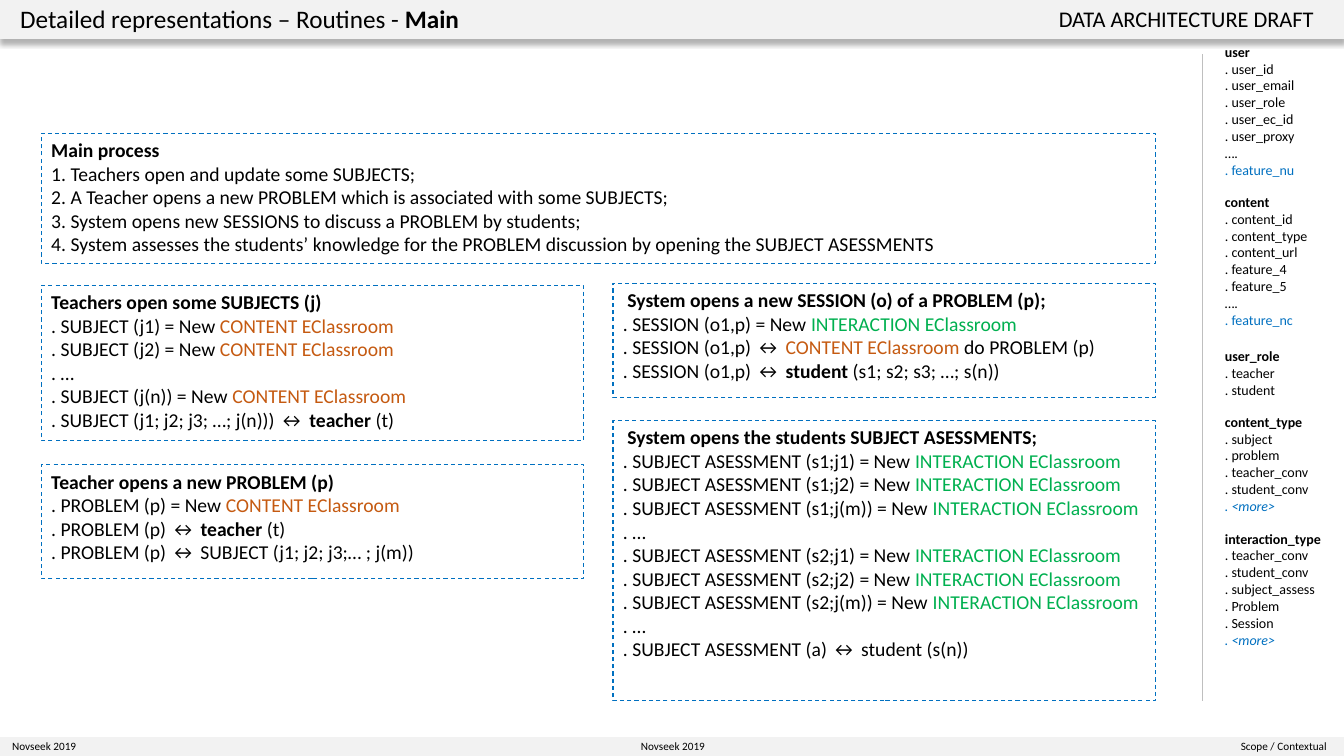
from lxml import etree
from pptx import Presentation
from pptx.dml.color import RGBColor
from pptx.enum.dml import MSO_LINE
from pptx.enum.shapes import MSO_CONNECTOR, MSO_SHAPE
from pptx.enum.text import MSO_ANCHOR, PP_ALIGN
from pptx.oxml.ns import qn
from pptx.util import Inches, Pt

LEFT, CENTER, RIGHT = PP_ALIGN.LEFT, PP_ALIGN.CENTER, PP_ALIGN.RIGHT
TOP, MIDDLE = MSO_ANCHOR.TOP, MSO_ANCHOR.MIDDLE
RECT, STRAIGHT, DASH = MSO_SHAPE.RECTANGLE, MSO_CONNECTOR.STRAIGHT, MSO_LINE.DASH
FONT = "Calibri"
PLAIN_TABLE = "{2D5ABB26-0587-4C30-8999-92F81FD0307C}"
COLORS = {"text": "000000", "bar": "F2F2F2", "blue": "0070C0", "orange": "C55A11",
          "green": "00B050", "divider": "BFBFBF"}

# Content: a line is a string or a list of runs; a run is a string or (text, styles)
CONTENT = ("CONTENT EClassroom", "orange")
INTERACTION = ("INTERACTION EClassroom", "green")

# (column width, alignment, left inset, right inset, size, runs)
HEADER = [
    (8.63, LEFT, 0.2, 0.2, 18, ["Detailed representations – Routines - ", ("Main", "bold")]),
    (4.7, RIGHT, 0.2, 0.3, 16, "DATA ARCHITECTURE DRAFT"),
]
FOOTER = [
    (4.97, LEFT, 0.12, 0.12, 8, "Novseek 2019"),
    (3.41, CENTER, 0.12, 0.12, 8, "Novseek 2019"),
    (4.95, RIGHT, 0.12, 0.17, 8, "Scope / Contextual"),
]

MAIN_PROCESS = ("Main process", [
    " Teachers open and update some SUBJECTS;",
    " A Teacher opens a new PROBLEM which is associated with some SUBJECTS;",
    " System opens new SESSIONS to discuss a PROBLEM by students;",
    " System assesses the students’ knowledge for the PROBLEM discussion "
    "by opening the SUBJECT ASESSMENTS",
])
SUBJECTS = ("Teachers open some SUBJECTS (j)", [
    [". SUBJECT (j1) = New ", CONTENT],
    [". SUBJECT (j2) = New ", CONTENT],
    ". …",
    [". SUBJECT (j(n)) = New ", CONTENT],
    [". SUBJECT (j1; j2; j3; …; j(n))) ↔ ", ("teacher", "bold"), " (t)"],
])
PROBLEM = ("Teacher opens a new PROBLEM (p)", [
    [". PROBLEM (p) = New ", CONTENT],
    [". PROBLEM (p) ↔ ", ("teacher", "bold"), " (t)"],
    ". PROBLEM (p) ↔ SUBJECT (j1; j2; j3;… ; j(m))",
])
SESSION = (" System opens a new SESSION (o) of a PROBLEM (p);", [
    [". SESSION (o1,p) = New ", INTERACTION],
    [". SESSION (o1,p) ↔ ", CONTENT, " do PROBLEM (p)"],
    [". SESSION (o1,p) ↔ ", ("student", "bold"), " (s1; s2; s3; …; s(n))"],
])
ASSESSMENT_LINES = []
for student in ("s1", "s2"):
    for subject in ("j1", "j2", "j(m)"):
        ASSESSMENT_LINES.append(
            [f". SUBJECT ASESSMENT ({student};{subject}) = New ", INTERACTION])
    ASSESSMENT_LINES.append(". …")
ASSESSMENT_LINES.append(". SUBJECT ASESSMENT (a) ↔ student (s(n))")
ASSESSMENTS = (" System opens the students SUBJECT ASESSMENTS;", ASSESSMENT_LINES)

# (content, left, top, width, height, numbered)
COL_1, COL_2, COL_W = 0.41, 6.08, 5.38
BOXES = [
    (MAIN_PROCESS, COL_1, 1.32, COL_2 + COL_W - COL_1, 1.29, True),
    (SUBJECTS, COL_1, 2.83, COL_W, 1.54, False),
    (PROBLEM, COL_1, 4.61, COL_W, 1.13, False),
    (SESSION, COL_2, 2.81, COL_W, 1.13, False),
    (ASSESSMENTS, COL_2, 4.17, COL_W, 2.78, False),
]

# (top, height, heading, lines)
MORE = [(". <more>", "blue italic")]
DICTIONARY = [
    (0.38, 1.5, "user", [". user_id", ". user_email", ". user_role", ". user_ec_id",
                         ". user_proxy", "….", [(". feature_nu", "blue")]]),
    (1.87, 1.47, "content", [". content_id", ". content_type", ". content_url",
                             ". feature_4", ". feature_5", "….",
                             [(". feature_nc", "blue")]]),
    (3.4, 0.64, "user_role", [". teacher", ". student"]),
    (4.05, 1.11, "content_type", [". subject", ". problem", ". teacher_conv",
                                  ". student_conv", MORE]),
    (5.21, 1.24, "interaction_type", [". teacher_conv", ". student_conv",
                                      ". subject_assess", ". Problem", ". Session", MORE]),
]


def rgb(name):
    return RGBColor.from_string(COLORS[name])


def write(tf, lines, size=14, align=LEFT, numbered=False):
    """Fill a text frame; numbered applies to every line after the heading."""
    for i, line in enumerate(lines):
        p = tf.add_paragraph() if i else tf.paragraphs[0]
        p.alignment = align
        if numbered and i:
            pPr = p._p.get_or_add_pPr()
            pPr.set("marL", str(Inches(0.09)))
            pPr.set("indent", str(-Inches(0.09)))
            etree.SubElement(pPr, qn("a:buFont"), typeface="+mj-lt")
            etree.SubElement(pPr, qn("a:buAutoNum"), type="arabicPeriod")
        for run in [line] if isinstance(line, str) else line:
            text, style = (run, "") if isinstance(run, str) else run
            styles = style.split()
            r = p.add_run()
            r.text = text
            r.font.name, r.font.size = FONT, Pt(size)
            r.font.bold, r.font.italic = "bold" in styles, "italic" in styles
            r.font.color.rgb = rgb(next((s for s in styles if s in COLORS), "text"))


def add_bar(slide, columns, top, height, v_inset):
    """Add a one-row table across the slide and return its properties element."""
    frame = slide.shapes.add_table(1, len(columns), 0, Inches(top),
                                   Inches(13.33), Inches(height))
    table = frame.table
    table.first_row = table.horz_banding = False
    tblPr = frame.element.find(".//" + qn("a:tblPr"))
    tblPr.find(qn("a:tableStyleId")).text = PLAIN_TABLE
    for i, (width, align, left, right, size, runs) in enumerate(columns):
        table.columns[i].width = Inches(width)
        cell = table.cell(0, i)
        cell.fill.solid()
        cell.fill.fore_color.rgb = rgb("bar")
        cell.vertical_anchor = MIDDLE
        cell.margin_left, cell.margin_right = Inches(left), Inches(right)
        cell.margin_top = cell.margin_bottom = Inches(v_inset)
        write(cell.text_frame, [runs], size=size, align=align)
    return tblPr


prs = Presentation()
prs.slide_width, prs.slide_height = Inches(13.33), Inches(7.5)
slide = prs.slides.add_slide(prs.slide_layouts[6])

# Header bar with its soft shadow, and footer bar
tblPr = add_bar(slide, HEADER, 0, 0.38, 0.04)
effects = etree.Element(qn("a:effectLst"))
shadow = etree.SubElement(effects, qn("a:outerShdw"), blurRad="50800", dist="38100",
                          dir="5400000", algn="t", rotWithShape="0")
black = etree.SubElement(shadow, qn("a:srgbClr"), val=COLORS["text"])
etree.SubElement(black, qn("a:alpha"), val="30000")
tblPr.insert(0, effects)
add_bar(slide, FOOTER, 7.31, 0.19, 0)

# Routine boxes
for (heading, lines), left, top, width, height, numbered in BOXES:
    sp = slide.shapes.add_shape(RECT, *map(Inches, (left, top, width, height)))
    sp.shadow.inherit = False
    sp.fill.background()
    sp.line.color.rgb = rgb("blue")
    sp.line.width = Pt(0.75)
    sp.line.dash_style = DASH
    sp.text_frame.word_wrap = True
    sp.text_frame.vertical_anchor = TOP
    write(sp.text_frame, [[(heading, "bold")], *lines], numbered=numbered)

# Data dictionary beside its divider
group = slide.shapes.add_group_shape()
divider = group.shapes.add_connector(STRAIGHT, *map(Inches, (11.92, 0.54, 11.92, 6.95)))
divider.line.color.rgb = rgb("divider")
divider.line.width = Pt(0.25)
etree.SubElement(divider.element.spPr, qn("a:effectLst"))
for top, height, heading, lines in DICTIONARY:
    sp = group.shapes.add_textbox(*map(Inches, (12.05, top, 1.15, height)))
    sp.text_frame.word_wrap = True
    sp.text_frame.margin_right = 0
    write(sp.text_frame, [[(heading, "bold")], *lines], size=10)

prs.save("out.pptx")
